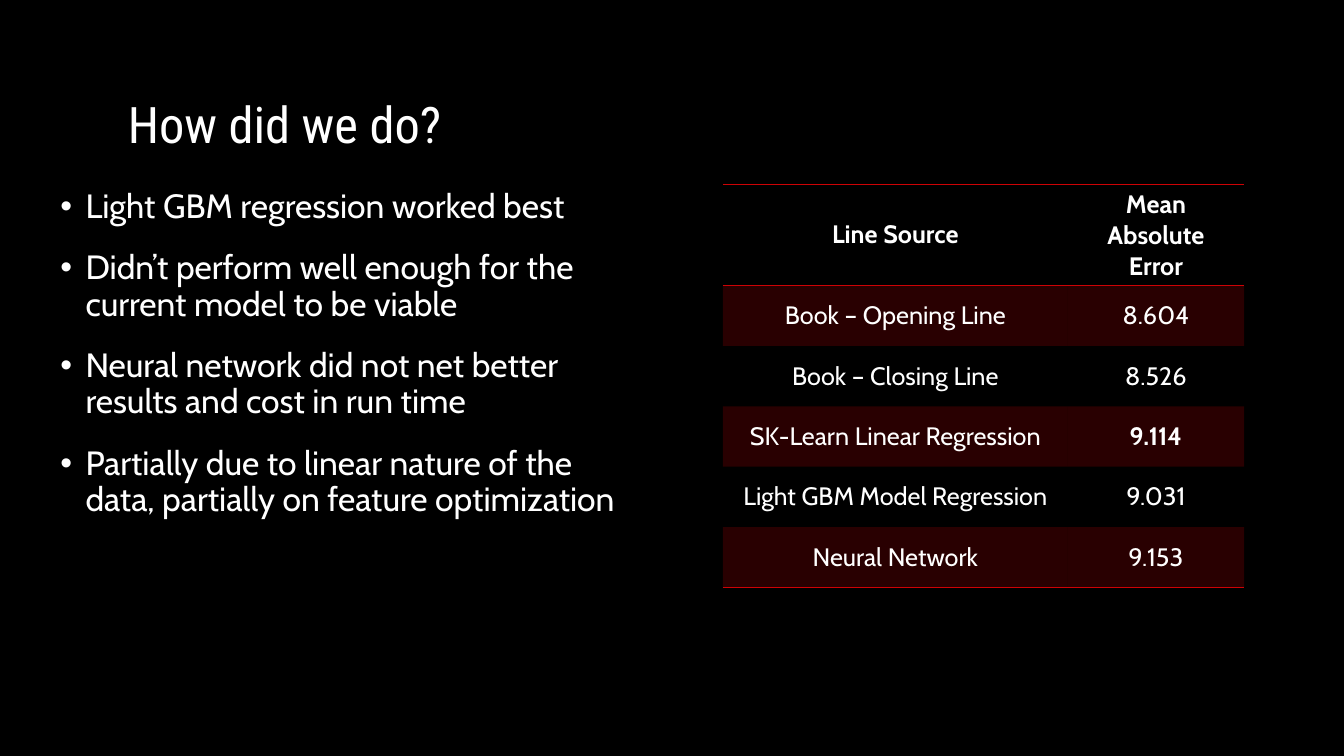
from pptx import Presentation
from pptx.dml.color import RGBColor
from pptx.enum.text import MSO_ANCHOR, PP_ALIGN
from pptx.oxml import parse_xml
from pptx.oxml.ns import nsdecls, qn
from pptx.util import Inches, Pt

WHITE, RED = "FFFFFF", "CD0205"


def color(code):
    return RGBColor.from_string(code)


def write(para, text, size=18, face="Cabin", bold=False, align=PP_ALIGN.LEFT, line=1.0):
    para.alignment = align
    para.line_spacing = line
    run = para.add_run()
    run.text = text
    font = run.font
    font.size, font.name, font.bold = Pt(size), face, bold
    font.color.rgb = color(WHITE)


deck = Presentation()
deck.slide_width, deck.slide_height = Inches(13.33), Inches(7.5)
slide = deck.slides.add_slide(deck.slide_layouts[6])
slide.background.fill.solid()
slide.background.fill.fore_color.rgb = color("000000")

# Title
title = slide.shapes.add_textbox(Inches(1.17), Inches(0.33), Inches(11), Inches(1.25)).text_frame
title.word_wrap = True
title.vertical_anchor = MSO_ANCHOR.BOTTOM
write(title.paragraphs[0], "How did we do?", size=36, face="Roboto Condensed", line=0.9)

# Bullet list
points = [
    "Light GBM regression worked best",
    "Didn’t perform well enough for the current model to be viable",
    "Neural network did not net better results and cost in run time",
    "Partially due to linear nature of the data, partially on feature optimization",
]
body = slide.shapes.add_textbox(Inches(0.5), Inches(1.83), Inches(5.97), Inches(4.75)).text_frame
body.word_wrap = True
for i, point in enumerate(points):
    para = body.add_paragraph() if i else body.paragraphs[0]
    props = para._p.get_or_add_pPr()
    props.set("marL", str(Inches(0.25)))
    props.set("indent", str(-Inches(0.25)))
    props.append(parse_xml(f'<a:buFont {nsdecls("a")} typeface="Arial"/>'))
    props.append(parse_xml(f'<a:buChar {nsdecls("a")} char="•"/>'))
    write(para, point, size=24, line=0.9)
    if i:
        para.space_before = Pt(18)

# Error table
rows = [
    ("Line Source", "Mean Absolute Error"),
    ("Book – Opening Line", "8.604"),
    ("Book – Closing Line", "8.526"),
    ("SK-Learn Linear Regression", "9.114"),
    ("Light GBM Model Regression", "9.031"),
    ("Neural Network", "9.153"),
]
frame = slide.shapes.add_table(len(rows), 2, Inches(7.17), Inches(1.83), Inches(5.17), Inches(3.6))
table = frame.table
table.horz_banding = False
# Table style with no fill and no grid
style = table._tbl.tblPr.find(qn("a:tableStyleId"))
style.text = "{2D5ABB26-0587-4C30-8999-92F81FD0307C}"
for col, width in zip(table.columns, (3.42, 1.75)):
    col.width = Inches(width)

for r, row in enumerate(rows):
    table.rows[r].height = Inches(0.6)
    for c, text in enumerate(row):
        cell = table.cell(r, c)
        cell.vertical_anchor = MSO_ANCHOR.MIDDLE
        bold = r == 0 or text == "9.114"
        write(cell.text_frame.paragraphs[0], text, bold=bold, align=PP_ALIGN.CENTER)
        props = cell._tc.get_or_add_tcPr()

        # Translucent red on odd rows
        if r % 2:
            cell.fill.solid()
            cell.fill.fore_color.rgb = color(RED)
            tint = props.find(".//" + qn("a:srgbClr"))
            tint.append(parse_xml(f'<a:alpha {nsdecls("a")} val="20000"/>'))
        else:
            cell.fill.background()

        # Rules around the header and under the last row
        sides = {0: ("lnT", "lnB"), len(rows) - 1: ("lnB",)}.get(r, ())
        for i, side in enumerate(sides):
            props.insert(i, parse_xml(
                f'<a:{side} {nsdecls("a")} w="{Pt(1)}"><a:solidFill>'
                f'<a:srgbClr val="{RED}"/></a:solidFill></a:{side}>'))

deck.save("out.pptx")
